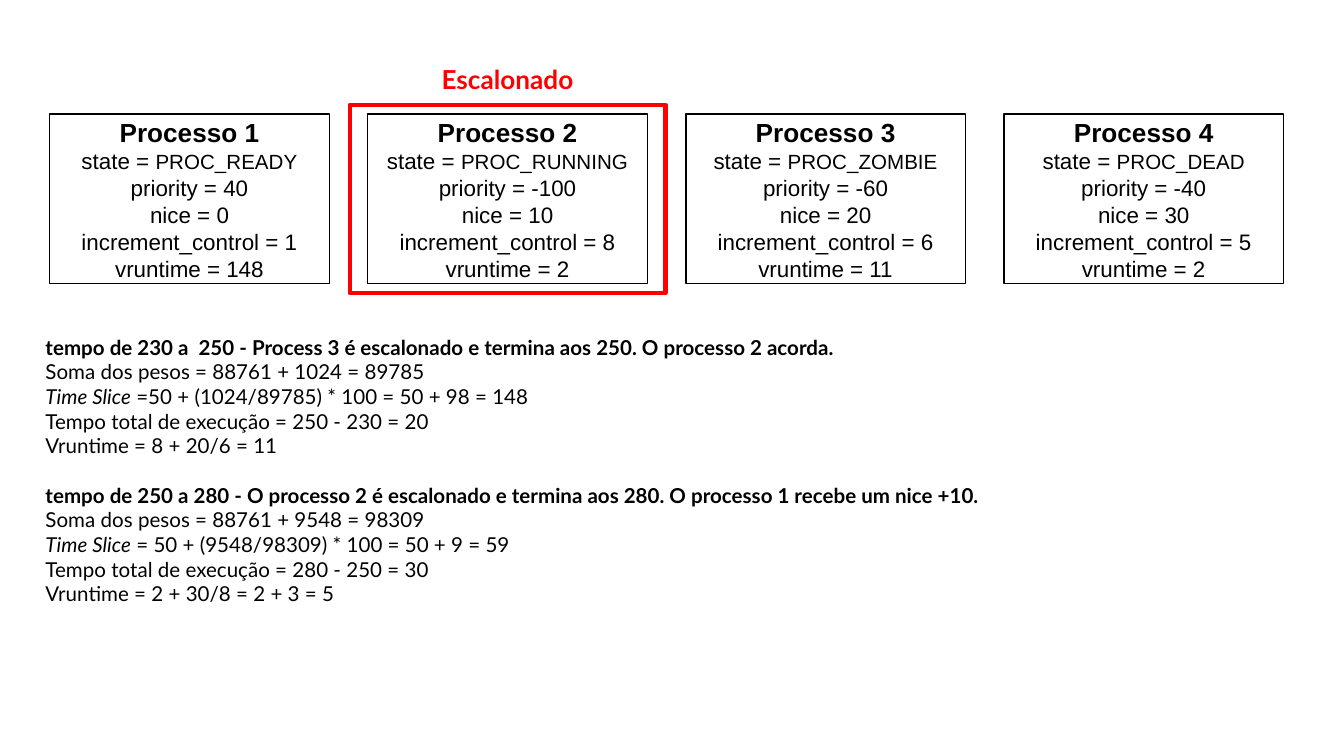
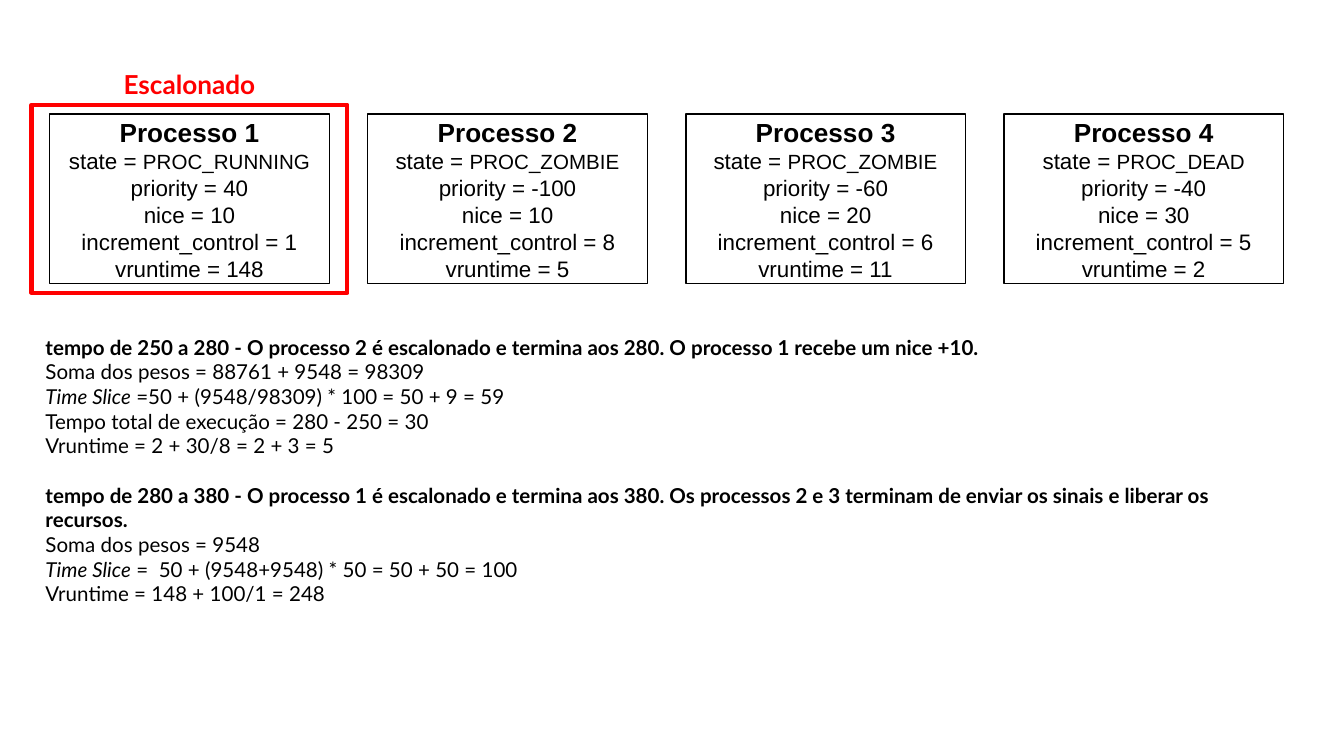
from pptx import Presentation
from pptx import util as u
from pptx.dml.color import RGBColor
from pptx.enum import shapes, text

HUES = {"ink": "000000", "paper": "FFFFFF", "mark": "FF0000"}
LEFT, TOP, WIDE, HIGH = 0.37, 0.85, 2.08, 1.26
STEP = (7.47 - LEFT) / 3
TERM = "Time Slice"

WAKE = (
    "tempo de 250 a 280 - O processo 2 é escalonado e termina aos 280. "
    "O processo 1 recebe um nice +10.",
    "Soma dos pesos = 88761 + 9548 = 98309",
    "Time Slice = 50 + (9548/98309) * 100 = 50 + 9 = 59",
    "Tempo total de execução = 280 - 250 = 30",
    "Vruntime = 2 + 30/8 = 2 + 3 = 5",
)
# The same step, with the time slice spaced as on the second slide
WAKE_2 = (*WAKE[:2], WAKE[2].replace("= 50 + (", "=50 + ("), *WAKE[3:])
FIRST = (
    "tempo de 230 a  250 - Process 3 é escalonado e termina aos 250. "
    "O processo 2 acorda.",
    "Soma dos pesos = 88761 + 1024 = 89785",
    "Time Slice =50 + (1024/89785) * 100 = 50 + 98 = 148",
    "Tempo total de execução = 250 - 230 = 20",
    "Vruntime = 8 + 20/6 = 11",
)
LAST = (
    "tempo de 280 a 380 - O processo 1 é escalonado e termina aos 380. "
    "Os processos 2 e 3 terminam de enviar os sinais e liberar os recursos.",
    "Soma dos pesos = 9548",
    "Time Slice =  50 + (9548+9548) * 50 = 50 + 50 = 100",
    "Vruntime = 148 + 100/1 = 248",
)

# Each process: state, priority, nice, increment_control, vruntime
ENDED = [("ZOMBIE", -60, 20, 6, 11), ("DEAD", -40, 30, 5, 2)]
SLIDES = [
    {"procs": [("READY", 40, 0, 1, 148), ("RUNNING", -100, 10, 8, 2), *ENDED],
     "active": 1, "label_top": 0.37, "steps": (FIRST, WAKE)},
    {"procs": [("RUNNING", 40, 10, 1, 148), ("ZOMBIE", -100, 10, 8, 5), *ENDED],
     "active": 0, "label_top": 0.41, "steps": (WAKE_2, LAST)},
]


def rgb(name):
    return RGBColor.from_string(HUES[name])


def write(para, words, size=11, font="Lato", hue="ink", bold=False, slant=False):
    run = para.add_run()
    run.text = words
    face = run.font
    face.size, face.name = u.Pt(size), font
    face.bold, face.italic = bold, slant
    face.color.rgb = rgb(hue)


def lines(frame):
    """Yield the frame's first paragraph, then new ones without end."""
    yield frame.paragraphs[0]
    while True:
        yield frame.add_paragraph()


def setup(frame, anchor=text.MSO_ANCHOR.TOP):
    frame.word_wrap = True
    frame.auto_size = text.MSO_AUTO_SIZE.NONE
    frame.vertical_anchor = anchor
    frame.margin_left = frame.margin_right = u.Inches(0.1)
    frame.margin_top = frame.margin_bottom = u.Inches(0.1)
    return frame


def add_text(slide, *place):
    return setup(slide.shapes.add_textbox(*map(u.Inches, place)).text_frame)


def add_rect(slide, *place, line="ink", width=0.75, fill=None):
    rect = slide.shapes.add_shape(shapes.MSO_SHAPE.RECTANGLE, *map(u.Inches, place))
    rect.shadow.inherit = False
    if fill:
        rect.fill.solid()
        rect.fill.fore_color.rgb = rgb(fill)
    else:
        rect.fill.background()
    rect.line.color.rgb = rgb(line)
    rect.line.width = u.Pt(width)
    return rect


def add_proc(slide, index, proc):
    rect = add_rect(slide, LEFT + index * STEP, TOP, WIDE, HIGH, fill="paper")
    paras = lines(setup(rect.text_frame, text.MSO_ANCHOR.MIDDLE))
    state, *values = proc
    write(next(paras), f"Processo {index + 1}", size=14, font="Arial", bold=True)
    para = next(paras)
    write(para, "state = ", size=12, font="Arial")
    write(para, f"PROC_{state}", font="Arial")
    keys = ("priority", "nice", "increment_control", "vruntime")
    for key, value in zip(keys, values):
        write(next(paras), f"{key} = {value}", size=12, font="Arial")
    for para in rect.text_frame.paragraphs:
        para.alignment = text.PP_ALIGN.CENTER


def add_mark(slide, index, top):
    """Frame the scheduled process and put its label above."""
    mid = LEFT + index * STEP + WIDE / 2
    add_rect(slide, mid - 2.35 / 2, 0.78, 2.35, 1.4, line="mark", width=2.25)
    para = add_text(slide, mid - 1.52 / 2, top, 1.52, 0.29).paragraphs[0]
    para.alignment = text.PP_ALIGN.CENTER
    write(para, "Escalonado", size=14, hue="mark", bold=True)


def add_steps(slide, steps):
    paras = lines(add_text(slide, 0.24, 2.39, 9.1, 3.03))
    for index, (head, *sums) in enumerate(steps):
        para = next(paras)
        if index:
            para.space_before = u.Pt(13.2)
        write(para, head, bold=True)
        for words in sums:
            para = next(paras)
            if words.startswith(TERM):
                write(para, TERM, slant=True)
                words = words[len(TERM):]
            write(para, words)


def main():
    deck = Presentation()
    deck.slide_width, deck.slide_height = u.Inches(10), u.Inches(10 * 9 / 16)
    for data in SLIDES:
        slide = deck.slides.add_slide(deck.slide_layouts[6])
        add_steps(slide, data["steps"])
        for index, proc in enumerate(data["procs"]):
            add_proc(slide, index, proc)
        add_mark(slide, data["active"], data["label_top"])
    deck.save("out.pptx")


if __name__ == "__main__":
    main()
